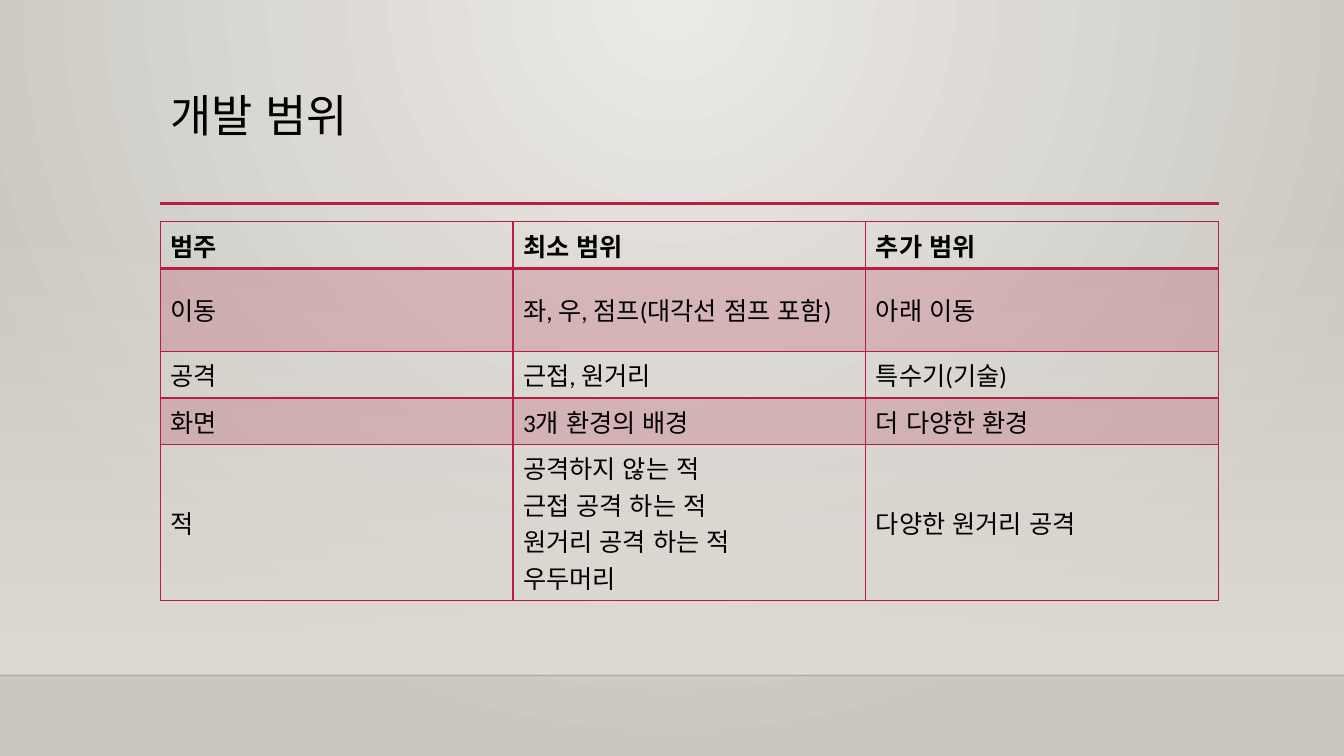
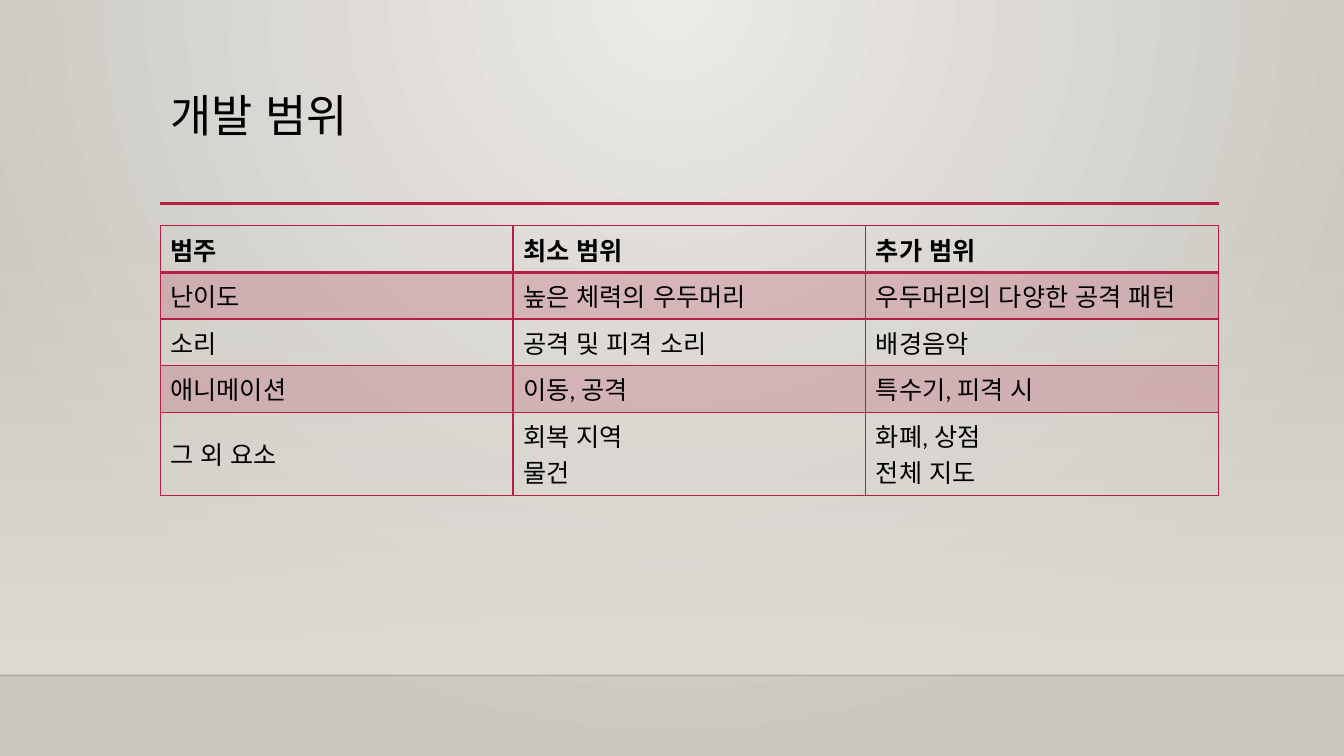
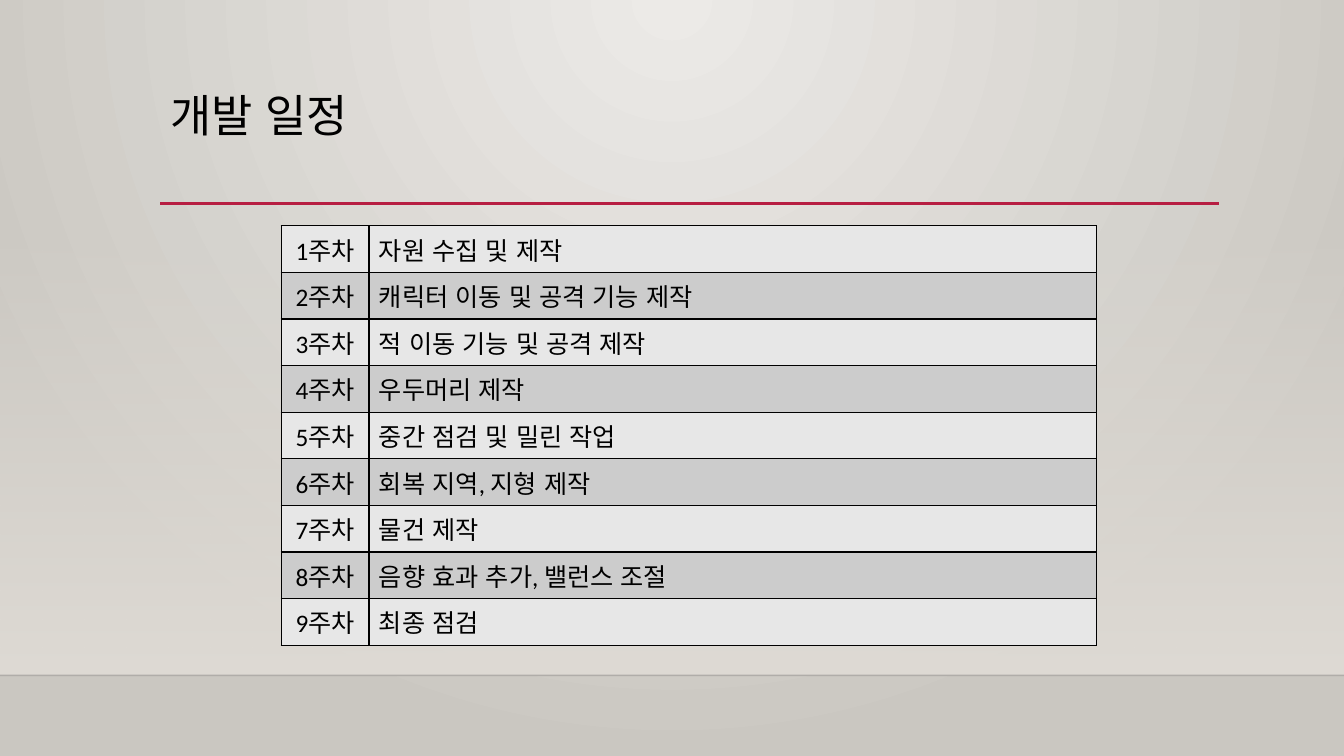
from dataclasses import dataclass

from lxml import etree
from pptx import Presentation
from pptx.dml.color import RGBColor
from pptx.enum.lang import MSO_LANGUAGE_ID
from pptx.enum.shapes import MSO_CONNECTOR, MSO_SHAPE
from pptx.enum.text import MSO_ANCHOR, MSO_AUTO_SIZE, PP_ALIGN
from pptx.oxml import parse_xml
from pptx.oxml.ns import nsdecls, qn
from pptx.util import Emu, Inches, Pt

KOREAN = MSO_LANGUAGE_ID.KOREAN
STRAIGHT = MSO_CONNECTOR.STRAIGHT
RECTANGLE = MSO_SHAPE.RECTANGLE
TOP, MIDDLE = MSO_ANCHOR.TOP, MSO_ANCHOR.MIDDLE
NO_AUTOFIT = MSO_AUTO_SIZE.NONE
LEFT, CENTER = PP_ALIGN.LEFT, PP_ALIGN.CENTER

# Theme
CRIMSON = RGBColor(0xB7, 0x1E, 0x42)
BLACK = RGBColor(0x00, 0x00, 0x00)
FLOOR_EDGE = RGBColor(0x00, 0x00, 0x01)
GLOW = RGBColor(0xEC, 0xEA, 0xE7)
STONE = RGBColor(0xCA, 0xC7, 0xC1)
WALL = RGBColor(0xDF, 0xDB, 0xD5)
LIGHT_GRAY = RGBColor(0xE7, 0xE7, 0xE7)
MID_GRAY = RGBColor(0xCC, 0xCC, 0xCC)
FONT = "Calibri"
TITLE_SIZE, BODY_SIZE = 32, 18

# Slide size, and positions as percentages of it
SLIDE_W, SLIDE_H = Inches(40 / 3), Inches(7.5)
MARGIN, CONTENT_W = 11.92, 78.75
TITLE_TOP, TITLE_H = 11.73, 15.33
RULE_Y = 26.93
WALL_TOP, FLOOR_Y = 29.47, 89.33


@dataclass(frozen=True)
class Fill:
    color: RGBColor
    opacity: int = 100


@dataclass(frozen=True)
class TableLook:
    left: float
    columns: tuple[float, ...]
    row_height: float
    border: RGBColor
    bands: tuple[Fill | None, Fill | None]
    alignments: tuple[PP_ALIGN, ...]
    has_header: bool


@dataclass(frozen=True)
class TableSlide:
    title: str
    top: float
    look: TableLook
    rows: tuple[tuple[str, ...], ...]


SCOPE = TableLook(MARGIN, (CONTENT_W / 3,) * 3, 5.47, CRIMSON,
                  (None, Fill(CRIMSON, 20)), (LEFT,) * 3, True)
SCHEDULE = TableLook(20.93, (6.52, 54.15), 6.03, BLACK,
                     (Fill(LIGHT_GRAY), Fill(MID_GRAY)), (CENTER, LEFT), False)
SCOPE_HEADER = ("범주", "최소 범위", "추가 범위")
WEEKLY_TASKS = (
    "자원 수집 및 제작",
    "캐릭터 이동 및 공격 기능 제작",
    "적 이동 기능 및 공격 제작",
    "우두머리 제작",
    "중간 점검 및 밀린 작업",
    "회복 지역, 지형 제작",
    "물건 제작",
    "음향 효과 추가, 밸런스 조절",
    "최종 점검",
)

# In cells, \n starts a paragraph and \v breaks a line
SLIDES = (
    TableSlide("개발 범위", 29.33, SCOPE, (
        SCOPE_HEADER,
        ("이동", "좌, 우, 점프(대각선 점프 포함)", "아래 이동"),
        ("공격", "근접, 원거리", "특수기(기술)"),
        ("화면", "3개 환경의 배경", "더 다양한 환경"),
        ("적", "공격하지 않는 적\v근접 공격 하는 적\n원거리 공격 하는 적\n우두머리",
         "다양한 원거리 공격"),
    )),
    TableSlide("개발 범위", 29.87, SCOPE, (
        SCOPE_HEADER,
        ("난이도", "높은 체력의 우두머리", "우두머리의 다양한 공격 패턴"),
        ("소리", "공격 및 피격 소리", "배경음악"),
        ("애니메이션", "이동, 공격", "특수기, 피격 시"),
        ("그 외 요소", "회복 지역\n물건", "화폐, 상점\n전체 지도"),
    )),
    TableSlide("개발 일정", 29.87, SCHEDULE, tuple(
        (f"{week}주차", task) for week, task in enumerate(WEEKLY_TASKS, 1))),
)


def across(percent: float) -> Emu:
    return Emu(round(SLIDE_W * percent / 100))


def down(percent: float) -> Emu:
    return Emu(round(SLIDE_H * percent / 100))


def set_opacity(parent, percent: int) -> None:
    """Make the first RGB colour below an XML element translucent."""
    color = next(parent.iter(qn("a:srgbClr")))
    etree.SubElement(color, qn("a:alpha"), val=str(percent * 1000))


def gradient(start: RGBColor, end: RGBColor, direction: str, start_alpha: int = 100) -> str:
    return (f'<a:gradFill {nsdecls("a")} rotWithShape="1"><a:gsLst>'
            f'<a:gs pos="0"><a:srgbClr val="{start}"><a:alpha val="{start_alpha * 1000}"/>'
            f'</a:srgbClr></a:gs><a:gs pos="100000"><a:srgbClr val="{end}"/></a:gs>'
            f'</a:gsLst>{direction}</a:gradFill>')


def add_text(paragraph, text: str, size: int, bold: bool = False) -> None:
    for index, line in enumerate(text.split("\v")):
        if index:
            paragraph.add_line_break()
        run = paragraph.add_run()
        run.text = line
        run.font.name = FONT
        run.font.size = Pt(size)
        run.font.bold = bold
        run.font.color.rgb = BLACK
        run.font.language_id = KOREAN


def add_rule(slide, left: float, y: float, width: float, color: RGBColor, weight: float):
    rule = slide.shapes.add_connector(
        STRAIGHT, across(left), down(y), across(left + width), down(y))
    rule.line.color.rgb = color
    rule.line.width = Pt(weight)
    etree.SubElement(rule.element.spPr, qn("a:effectLst"))
    return rule


def build_backdrop(layout, slide) -> None:
    """Draw the wall, floor edge and title rule, then hand them to the layout."""
    for placeholder in list(layout.placeholders)[1:]:
        placeholder.element.getparent().remove(placeholder.element)

    # Background glow
    circle = '<a:path path="circle"><a:fillToRect l="43000" t="0" r="43000" b="100000"/></a:path>'
    layout.element.cSld.insert(0, parse_xml(
        f'<p:bg {nsdecls("p", "a")}><p:bgPr>{gradient(GLOW, STONE, circle)}'
        '<a:effectLst/></p:bgPr></p:bg>'))

    # Wall that fades in towards the floor
    wall = slide.shapes.add_shape(
        RECTANGLE, 0, down(WALL_TOP), SLIDE_W, down(FLOOR_Y - WALL_TOP))
    wall.shadow.inherit = False
    wall.line.fill.background()
    fade = parse_xml(gradient(WALL, WALL, '<a:lin ang="5400000" scaled="0"/>', 0))
    wall.element.spPr.find(qn("a:prstGeom")).addnext(fade)

    floor_edge = add_rule(slide, 0, FLOOR_Y, 100, FLOOR_EDGE, 1)
    set_opacity(floor_edge.element.spPr, 20)
    title_rule = add_rule(slide, MARGIN, RULE_Y, CONTENT_W, CRIMSON, 2.5)

    for part in (wall, floor_edge, title_rule):
        layout.shapes.element.append(part.element)


def set_title(slide, text: str) -> None:
    title = slide.shapes.title
    title.left, title.top = across(MARGIN), down(TITLE_TOP)
    title.width, title.height = across(CONTENT_W), down(TITLE_H)
    frame = title.text_frame
    frame.vertical_anchor = TOP
    frame.word_wrap = True
    frame.auto_size = NO_AUTOFIT
    paragraph = frame.paragraphs[0]
    paragraph.alignment = LEFT
    paragraph.line_spacing = 0.9
    add_text(paragraph, text, TITLE_SIZE)


def set_borders(cell, color: RGBColor, bottom_weight: int) -> None:
    properties = cell._tc.get_or_add_tcPr()
    for side, weight in (("L", 1), ("R", 1), ("T", 1), ("B", bottom_weight)):
        properties.append(parse_xml(
            f'<a:ln{side} {nsdecls("a")} w="{Pt(weight)}"><a:solidFill>'
            f'<a:srgbClr val="{color}"/></a:solidFill></a:ln{side}>'))


def fill_cell(cell, fill: Fill | None) -> None:
    if fill is None:
        cell.fill.background()
        return
    cell.fill.solid()
    cell.fill.fore_color.rgb = fill.color
    if fill.opacity < 100:
        set_opacity(cell._tc.tcPr.find(qn("a:solidFill")), fill.opacity)


def add_grid(slide, content: TableSlide) -> None:
    look, rows = content.look, content.rows
    table = slide.shapes.add_table(
        len(rows), len(look.columns), across(look.left), down(content.top),
        across(sum(look.columns)), down(look.row_height * len(rows))).table
    table.first_row = table.horz_banding = False
    for column, width in zip(table.columns, look.columns):
        column.width = across(width)
    for row_index, texts in enumerate(rows):
        table.rows[row_index].height = down(look.row_height)
        is_header = look.has_header and row_index == 0
        for column_index, text in enumerate(texts):
            cell = table.cell(row_index, column_index)
            cell.vertical_anchor = MIDDLE
            set_borders(cell, look.border, 2 if is_header else 1)
            fill_cell(cell, look.bands[row_index % 2])
            frame = cell.text_frame
            for index, line in enumerate(text.split("\n")):
                paragraph = frame.add_paragraph() if index else frame.paragraphs[0]
                paragraph.alignment = look.alignments[column_index]
                add_text(paragraph, line, BODY_SIZE, is_header)


def main() -> None:
    deck = Presentation()
    deck.slide_width, deck.slide_height = SLIDE_W, SLIDE_H
    title_only = deck.slide_layouts.get_by_name("Title Only")
    for index, content in enumerate(SLIDES):
        slide = deck.slides.add_slide(title_only)
        if index == 0:
            build_backdrop(title_only, slide)
        set_title(slide, content.title)
        add_grid(slide, content)
    deck.save("out.pptx")


if __name__ == "__main__":
    main()
